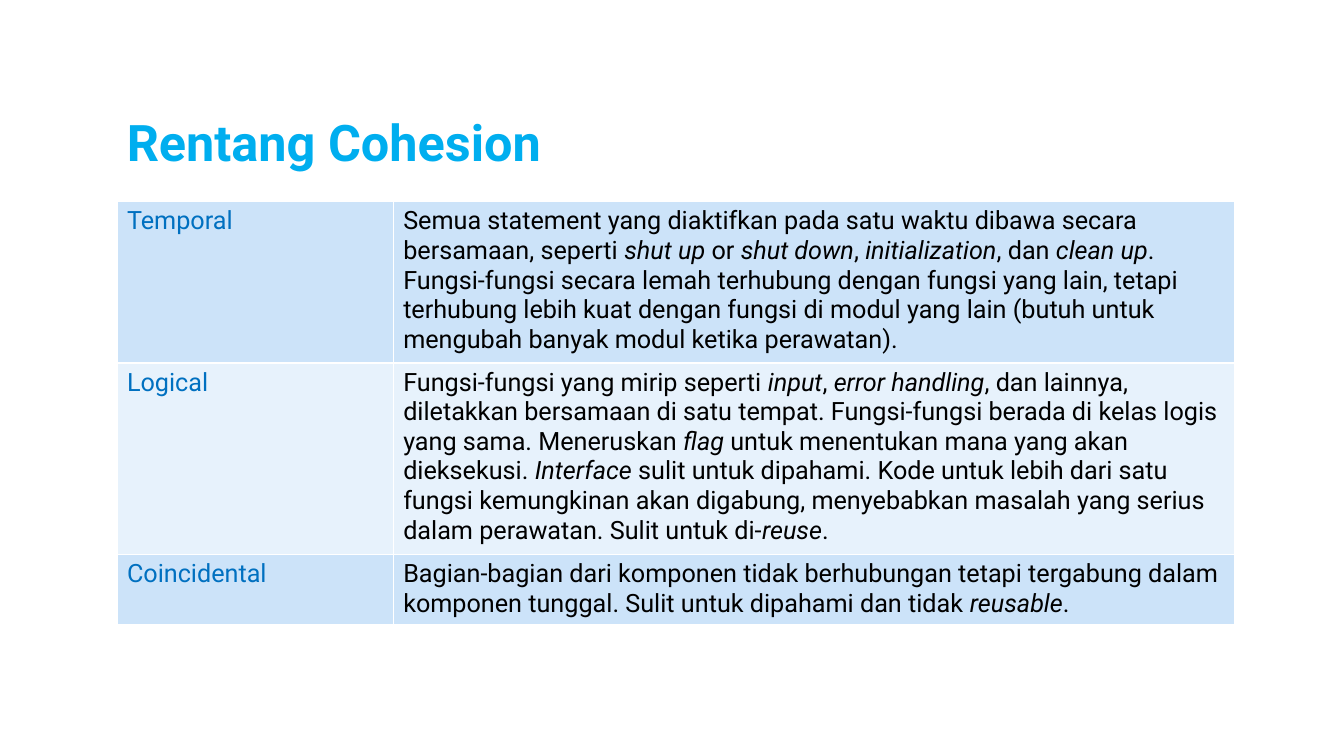
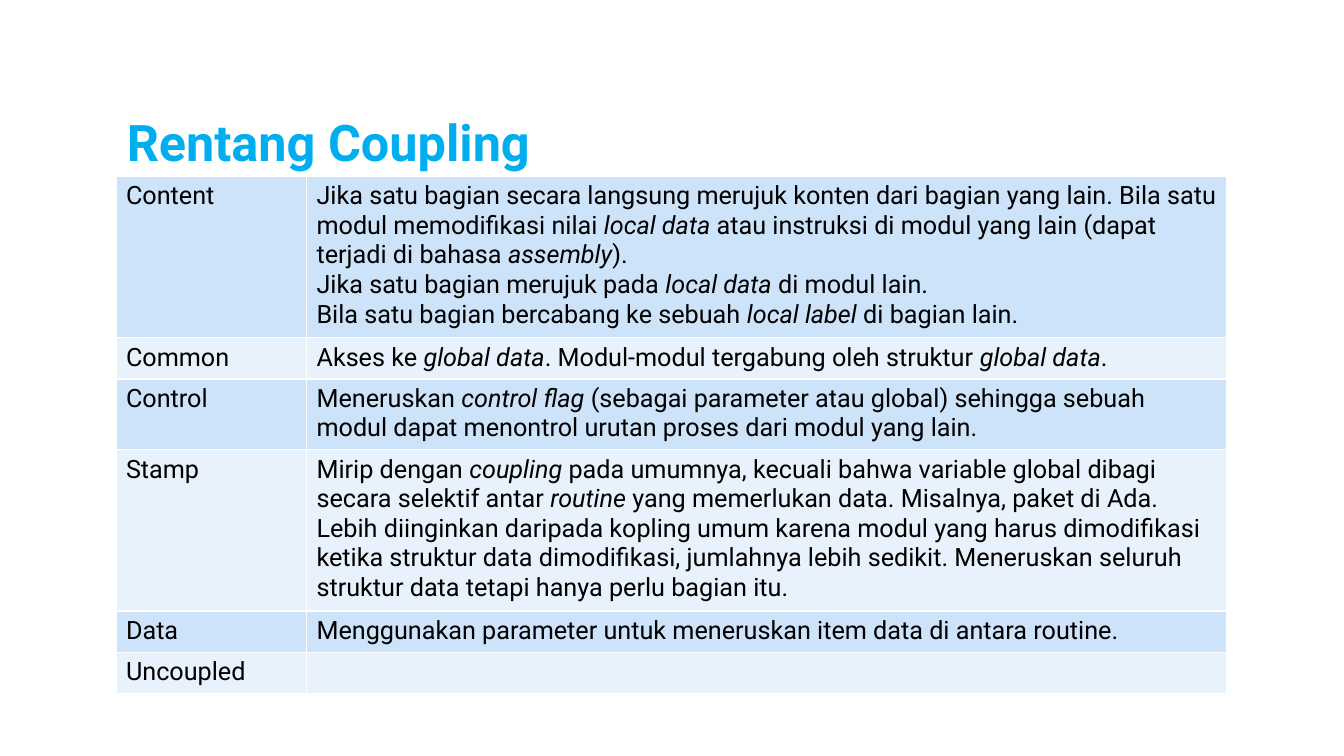
from dataclasses import dataclass

from lxml.etree import SubElement
from pptx import Presentation
from pptx.dml.color import RGBColor
from pptx.enum.text import MSO_ANCHOR
from pptx.oxml.ns import qn
from pptx.slide import Slide
from pptx.table import _Cell
from pptx.util import Pt

EMU_PER_PX = 9144  # 100 px to the inch
FONT = "Roboto"
TITLE_SIZE, BODY_SIZE = 36, 18
COLORS = {
    "title": "00AEEF",
    "accent": "0070C0",
    "text": "000000",
    "border": "FFFFFF",
    "odd_band": "CCE3F9",
    "even_band": "E7F2FC",
}


@dataclass(frozen=True)
class Level:
    """One level of the scale; *asterisks* in the description mark italics."""
    name: str
    height: int
    description: str


@dataclass(frozen=True)
class Scale:
    title: str
    left: int
    top: int
    name_width: int
    description_width: int
    name_color: str
    levels: tuple[Level, ...]


SCALES = (
    Scale("Rentang Cohesion", 116, 200, 274, 835, "accent", (
        Level("Temporal", 156,
              "Semua statement yang diaktifkan pada satu waktu dibawa secara bersamaan, "
              "seperti *shut up *or *shut down*, *initialization*, dan *clean up*. "
              "Fungsi-fungsi secara lemah terhubung dengan fungsi yang lain, tetapi "
              "terhubung lebih kuat dengan fungsi di modul yang lain (butuh untuk "
              "mengubah banyak modul ketika perawatan)."),
        Level("Logical", 186,
              "Fungsi-fungsi yang mirip seperti *input*, *error handling*, dan lainnya, "
              "diletakkan bersamaan di satu tempat. Fungsi-fungsi berada di kelas logis "
              "yang sama. Meneruskan *flag *untuk menentukan mana yang akan dieksekusi. "
              "*Interface* sulit untuk dipahami. Kode untuk lebih dari satu fungsi "
              "kemungkinan akan digabung, menyebabkan masalah yang serius dalam "
              "perawatan. Sulit untuk di-*reuse*."),
        Level("Coincidental", 68,
              "Bagian-bagian dari komponen tidak berhubungan tetapi tergabung dalam "
              "komponen tunggal. Sulit untuk dipahami dan tidak *reusable*."),
    )),
    Scale("Rentang Coupling", 115, 175, 189, 913, "text", (
        Level("Content", 156,
              "Jika satu bagian secara langsung merujuk konten dari bagian yang lain. "
              "Bila satu modul memodifikasi nilai *local data *atau instruksi di modul "
              "yang lain (dapat terjadi di bahasa *assembly*).\n"
              "Jika satu bagian merujuk pada *local data *di modul lain.\n"
              "Bila satu bagian bercabang ke sebuah *local label *di bagian lain."),
        Level("Common", 41,
              "Akses ke *global data*. Modul-modul tergabung oleh struktur *global data*."),
        Level("Control", 68,
              "Meneruskan *control flag *(sebagai parameter atau global) sehingga sebuah "
              "modul dapat menontrol urutan proses dari modul yang lain."),
        Level("Stamp", 156,
              "Mirip dengan *coupling *pada umumnya, kecuali bahwa variable global dibagi "
              "secara selektif antar *routine* yang memerlukan data. Misalnya, paket di "
              "Ada. Lebih diinginkan daripada kopling umum karena modul yang harus "
              "dimodifikasi ketika struktur data dimodifikasi, jumlahnya lebih sedikit. "
              "Meneruskan seluruh struktur data tetapi hanya perlu bagian itu."),
        Level("Data", 41,
              "Menggunakan parameter untuk meneruskan item data di antara routine."),
        Level("Uncoupled", 41, ""),
    )),
)


def px(length: int) -> int:
    return length * EMU_PER_PX


def style_font(font, size: int, color: str, bold: bool = False) -> None:
    font.name, font.size, font.bold = FONT, Pt(size), bold
    font.color.rgb = RGBColor.from_string(COLORS[color])


def add_title(slide: Slide, title: str) -> None:
    frame = slide.shapes.add_textbox(px(116), px(58), px(950), px(117)).text_frame
    frame.word_wrap = True
    frame.vertical_anchor = MSO_ANCHOR.BOTTOM
    heading = frame.paragraphs[0]
    heading.text = title
    heading.line_spacing = 0.8
    style_font(heading.font, TITLE_SIZE, "title", bold=True)


def add_borders(cell: _Cell) -> None:
    properties = cell._tc.get_or_add_tcPr()
    for side in ("a:lnL", "a:lnR", "a:lnT", "a:lnB"):
        border = SubElement(properties, qn(side), w=str(Pt(1)))
        fill = SubElement(border, qn("a:solidFill"))
        SubElement(fill, qn("a:srgbClr"), val=COLORS["border"])


def fill_cell(cell: _Cell, marked_text: str, color: str, band: str) -> None:
    add_borders(cell)
    cell.fill.solid()
    cell.fill.fore_color.rgb = RGBColor.from_string(COLORS[band])
    frame = cell.text_frame
    for line_number, line in enumerate(marked_text.split("\n")):
        paragraph = frame.add_paragraph() if line_number else frame.paragraphs[0]
        style_font(paragraph.font, BODY_SIZE, color)
        for part_number, part in enumerate(line.split("*")):
            if part:
                run = paragraph.add_run()
                run.text = part
                if part_number % 2:
                    run.font.italic = True


def add_level_table(slide: Slide, scale: Scale) -> None:
    widths = (scale.name_width, scale.description_width)
    height = sum(level.height for level in scale.levels)
    table = slide.shapes.add_table(
        len(scale.levels), len(widths),
        px(scale.left), px(scale.top), px(sum(widths)), px(height)).table
    table.first_row = table.horz_banding = False
    for column, width in zip(table.columns, widths):
        column.width = px(width)
    for index, (row, level) in enumerate(zip(table.rows, scale.levels)):
        row.height = px(level.height)
        band = "even_band" if index % 2 else "odd_band"
        fill_cell(row.cells[0], level.name, scale.name_color, band)
        fill_cell(row.cells[1], level.description, "text", band)


def main() -> None:
    deck = Presentation()
    deck.slide_width, deck.slide_height = px(1333), px(750)
    blank = deck.slide_layouts[6]
    for scale in SCALES:
        slide = deck.slides.add_slide(blank)
        add_title(slide, scale.title)
        add_level_table(slide, scale)
    deck.save("out.pptx")


if __name__ == "__main__":
    main()
